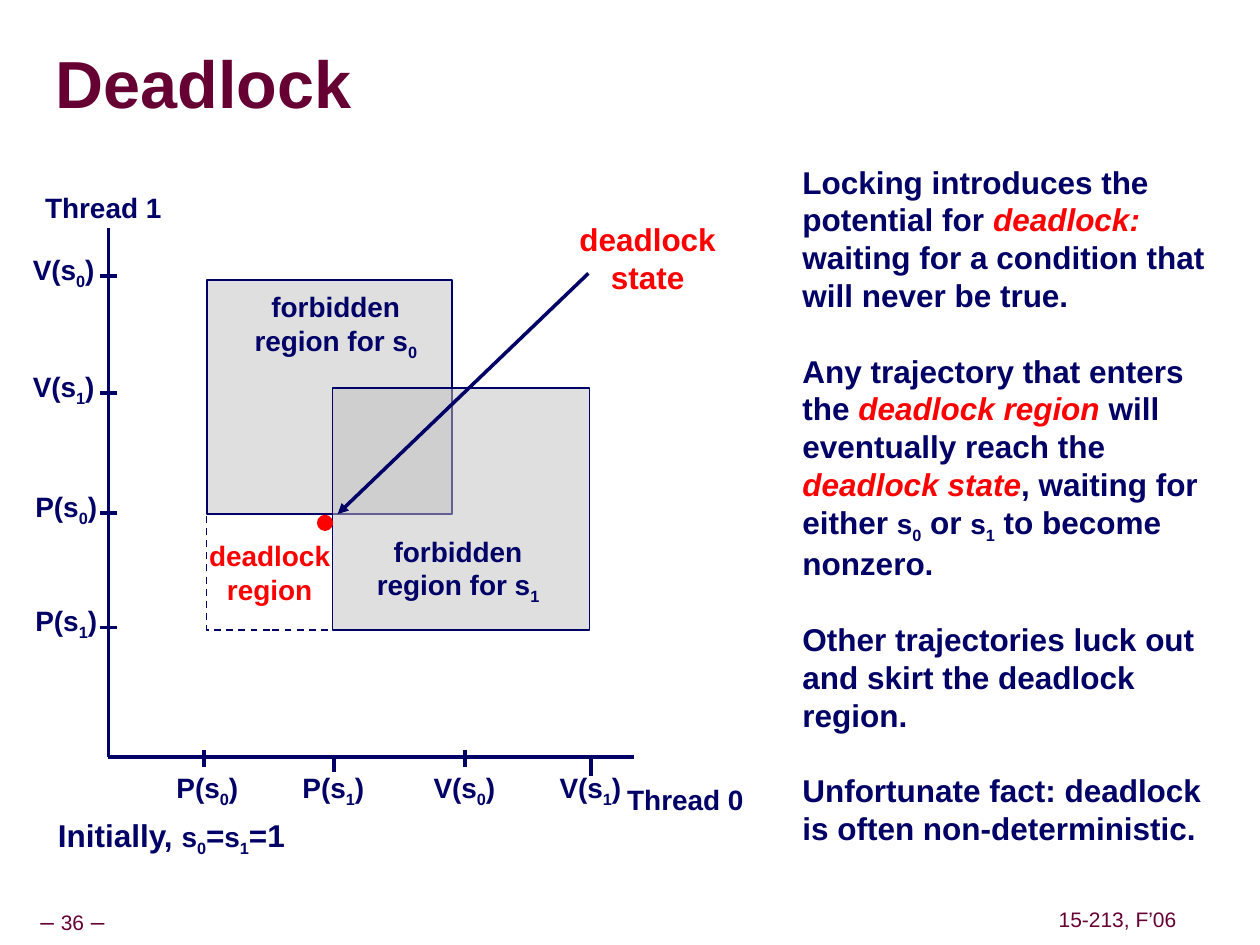
from lxml import etree
from pptx import Presentation, util as u
from pptx.dml.color import RGBColor
from pptx.enum import dml, shapes, text
from pptx.oxml import ns

NAVY = RGBColor(0x00, 0x00, 0x66)
WINE = RGBColor(0x66, 0x00, 0x33)
RED = RGBColor(0xFF, 0x00, 0x00)
GRAY = RGBColor(0xC0, 0xC0, 0xC0)
WHITE = RGBColor(0xFF, 0xFF, 0xFF)

COLS, ROWS = 100, 75
CELL = u.Inches(0.1)
AXIS = 8.6, 60.1
TICK = 1.4
LABEL = 6.9, 4.1
NAME = 11.2, 3.7

# tick column, tick top, label column
X_MARKS = [
    ("P(s|_0|)", 16.2, 59.5, 13),
    ("P(s|_1|)", 26.5, 59.9, 23),
    ("V(s|_0|)", 36.9, 59.5, 33.4),
    ("V(s|_1|)", 46.9, 60.2, 43.4),
]
# tick row, label column
Y_MARKS = [
    ("V(s|_0|)", 21.9, 1.6),
    ("V(s|_1|)", 31.2, 1.6),
    ("P(s|_0|)", 40.7, 1.8),
    ("P(s|_1|)", 49.8, 1.8),
]
BODY = "\n".join([
    "Locking introduces the potential for |*deadlock:| waiting for a "
    "condition that will never be true.",
    "Any trajectory that enters the |*deadlock region| will eventually reach "
    "the |*deadlock state|, waiting for either |~s|_0| or |~s|_1| to become "
    "nonzero.",
    "Other trajectories luck out and skirt the deadlock region.",
    "Unfortunate fact: deadlock is often non-deterministic.",
])


def grid(*cells):
    return [round(c * CELL) for c in cells]


def write(frame, words, size=16, color=NAVY, bold=True, wrap=False,
          align=text.PP_ALIGN.CENTER, anchor=text.MSO_ANCHOR.MIDDLE,
          pad=(0.1, 0), gap=0, lead=None):
    """Fill a frame; runs split at |, marked _ subscript, * red, ~ small, ^ 14 pt."""
    frame.word_wrap = wrap
    frame.vertical_anchor = anchor
    frame.margin_left = frame.margin_right = u.Inches(pad[0])
    frame.margin_top = frame.margin_bottom = u.Inches(pad[1])
    for i, line in enumerate(words.split("\n")):
        para = frame.add_paragraph() if i else frame.paragraphs[0]
        para.alignment = align
        if lead:
            para.line_spacing = lead
        if i and gap:
            para.space_before = u.Pt(gap)
        for part in line.split("|"):
            mark = part[0] if part[0] in "_*~^" else ""
            run = para.add_run()
            run.text = part[len(mark):]
            font = run.font
            font.name, font.bold = "Arial", bold
            font.size = u.Pt({"_": 16, "~": 16, "^": 14}.get(mark, size))
            font.color.rgb = RED if mark == "*" else color
            if mark == "*":
                font.italic = True
            if mark == "_":
                font._element.set("baseline", "-25000")


def label(slide, words, box, **form):
    write(slide.shapes.add_textbox(*grid(*box)).text_frame, words, **form)


def block(slide, box, fill, kind=shapes.MSO_SHAPE.RECTANGLE, edge=NAVY,
          width=1, alpha=None):
    shape = slide.shapes.add_shape(kind, *grid(*box))
    shape.shadow.inherit = False
    shape.fill.solid()
    shape.fill.fore_color.rgb = fill
    shape.line.color.rgb = edge
    shape.line.width = u.Pt(width)
    if alpha:
        color = shape._element.spPr.find(".//" + ns.qn("a:srgbClr"))
        etree.SubElement(color, ns.qn("a:alpha"), val=str(alpha * 1000))
    return shape


def rule(slide, start, end, arrow=False):
    line = slide.shapes.add_connector(
        shapes.MSO_CONNECTOR.STRAIGHT, *grid(*start, *end))
    line.line.color.rgb = NAVY
    line.line.width = u.Pt(2)
    if arrow:
        etree.SubElement(line.line._get_or_add_ln(), ns.qn("a:tailEnd"),
                         type="triangle")
    etree.SubElement(line._element.spPr, ns.qn("a:effectLst"))


def axes(slide):
    x, y = AXIS
    rule(slide, AXIS, (x, 18.1))
    rule(slide, AXIS, (50.3, y))
    for words, col, top, left in X_MARKS:
        rule(slide, (col, top), (col, top + TICK))
        label(slide, words, (left, 60.6, *LABEL), pad=(0.05, 0.05))
    for words, row, left in Y_MARKS:
        rule(slide, (x - TICK / 2, row), (x + TICK / 2, row))
        label(slide, words, (left, row - 2.4, *LABEL), pad=(0.05, 0.05))
    label(slide, "Thread 0", (48.8, 61.6, *NAME), pad=(0.05, 0.05))
    label(slide, "Thread 1", (2.6, 14.6, *NAME), pad=(0.05, 0.05))


def regions(slide):
    trap = block(slide, (16.4, 40.8, 10, 9.2), WHITE)
    trap.line.dash_style = dml.MSO_LINE.DASH
    write(trap.text_frame, "deadlock\nregion", color=RED, pad=(0, 0))
    block(slide, (16.4, 22.2, 19.5, 18.6), GRAY, alpha=50)
    block(slide, (26.4, 30.8, 20.4, 19.2), GRAY, alpha=50)
    for sub, left, top in ((0, 19.2, 23), (1, 28.9, 42.4)):
        label(slide, f"forbidden\nregion for s|_{sub}", (left, top, 14.9, 5.7),
              pad=(0.05, 0))
    block(slide, (25.3, 41, 1, 1), RED, shapes.MSO_SHAPE.OVAL, RED, 2)
    label(slide, "deadlock\nstate", (45, 17.5, 12.8, 6), size=18, color=RED,
          pad=(0.05, 0))
    rule(slide, (46.7, 21.7), (26.8, 40.8), arrow=True)


def main():
    deck = Presentation()
    deck.slide_width, deck.slide_height = grid(COLS, ROWS)
    slide = deck.slides.add_slide(deck.slide_layouts[6])
    left = text.PP_ALIGN.LEFT
    foot = dict(size=12, color=WINE, bold=False, pad=(0.05, 0.05), lead=0.9)
    label(slide, "^– |36|^ –", (-0.2, 71.7, 11.9, 3.1), **foot)
    label(slide, "15-213, F’06", (83.5, 71.7, 10.4, 2.8), **foot)
    label(slide, "Deadlock", (4.4, 2.7, 95.3, 8.5), size=38, color=WINE,
          wrap=True, align=left, pad=(0, 0), lead=0.87)
    axes(slide)
    regions(slide)
    label(slide, "Initially, |~s|_0|=|~s|_1|=1", (3.5, 64.8, 20.2, 3.3),
          size=18, pad=(0.05, 0))
    label(slide, BODY, (62.7, 12.9, 34, 54.3), size=18, wrap=True,
          align=left, anchor=text.MSO_ANCHOR.TOP, gap=21.6)
    deck.save("out.pptx")


if __name__ == "__main__":
    main()
